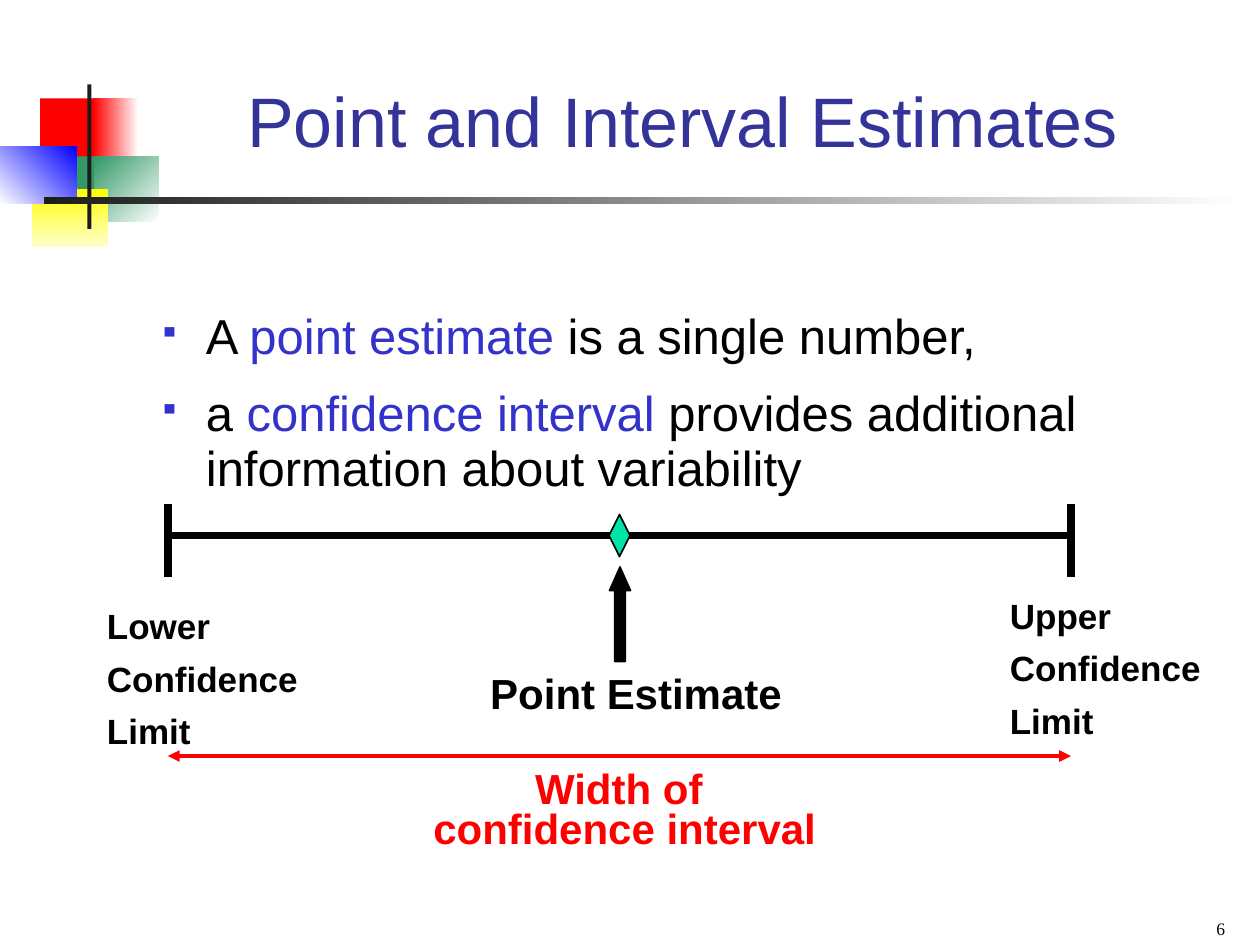
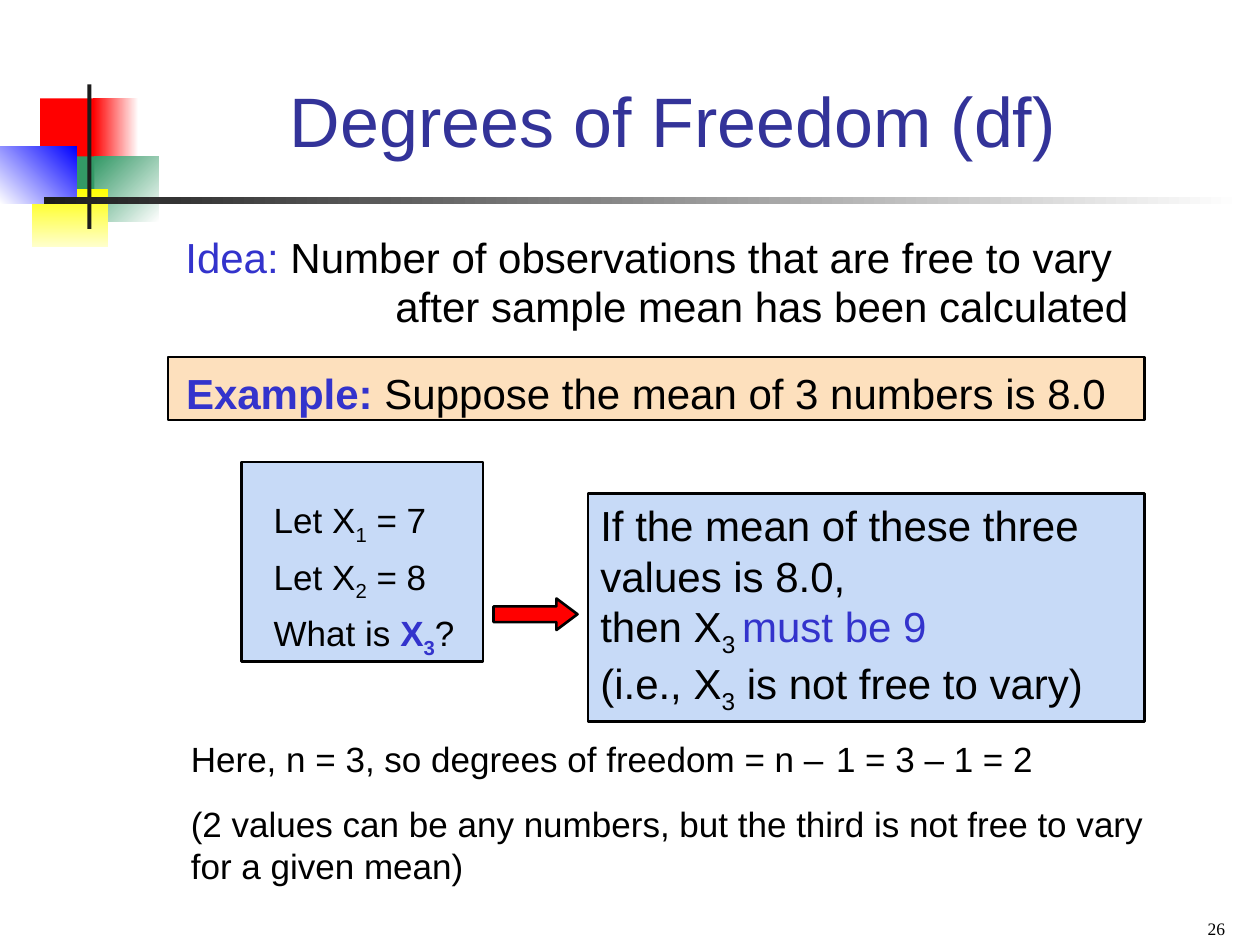
from dataclasses import dataclass

from lxml import etree
from pptx import Presentation
from pptx.dml.color import RGBColor
from pptx.enum.shapes import MSO_CONNECTOR, MSO_SHAPE
from pptx.enum.text import MSO_ANCHOR, PP_ALIGN
from pptx.oxml.ns import qn
from pptx.util import Pt

LEFT, CENTER, RIGHT = PP_ALIGN.LEFT, PP_ALIGN.CENTER, PP_ALIGN.RIGHT
TOP, BOTTOM = MSO_ANCHOR.TOP, MSO_ANCHOR.BOTTOM
RECTANGLE, DIAMOND = MSO_SHAPE.RECTANGLE, MSO_SHAPE.DIAMOND
UP_ARROW, RIGHT_ARROW = MSO_SHAPE.UP_ARROW, MSO_SHAPE.RIGHT_ARROW
STRAIGHT = MSO_CONNECTOR.STRAIGHT
TITLE_ONLY = 5


@dataclass(frozen=True)
class Theme:
    font: str = "Arial"
    number_font: str = "Times New Roman"
    title_size: int = 40
    lead_size: int = 28
    body_size: int = 24
    small_size: int = 20
    number_size: int = 10
    title: str = "333399"
    accent: str = "3333CC"
    ink: str = "000000"
    white: str = "FFFFFF"
    red: str = "FF0000"
    green: str = "339966"
    blue: str = "0000FF"
    yellow: str = "FFFF00"
    pale_yellow: str = "FFFFCC"
    charcoal: str = "1C1C1C"
    mint: str = "00E4A8"
    panel: str = "C7DAF7"
    band: str = "FDE0BD"


THEME = Theme()


@dataclass
class Span:
    text: str
    color: str = THEME.ink
    bold: bool = False
    subscript: bool = False
    size: int = 0


@dataclass
class Format:
    size: int = THEME.body_size
    align: PP_ALIGN = LEFT
    before: float = 0
    spacing: float = 1.0
    font: str = THEME.font
    bullet: bool = False


def accent(text, **style):
    return Span(text, THEME.accent, **style)


def subscript(text, **style):
    return Span(text, subscript=True, **style)


def add_bullet(paragraph):
    """Hang the paragraph from a small square in the accent colour."""
    properties = paragraph._p.get_or_add_pPr()
    properties.set("marL", str(Pt(27)))
    properties.set("indent", str(-Pt(27)))
    color = etree.SubElement(properties, qn("a:buClr"))
    etree.SubElement(color, qn("a:srgbClr"), val=THEME.accent)
    etree.SubElement(properties, qn("a:buSzPct"), val="60000")
    etree.SubElement(properties, qn("a:buChar"), char="▪")


class SlideBuilder:
    def __init__(self, deck, theme):
        self.deck = deck
        self.theme = theme
        self.slide = None

    def start(self, title, title_place, number):
        """Begin a slide with its ornament, title and number."""
        layout = self.deck.slide_layouts[TITLE_ONLY]
        self.slide = self.deck.slides.add_slide(layout)
        self.ornament()
        box = self.slide.shapes.title
        box.left, box.top, box.width, box.height = map(Pt, title_place)
        self.fill_text(box, [[Span(title, self.theme.title)]],
                       Format(self.theme.title_size, CENTER), BOTTOM, (6.5, 3.6, 6.5, 3.6))
        self.text((538.5, 515, 168, 25), [[Span(number)]],
                  Format(self.theme.number_size, RIGHT, font=self.theme.number_font),
                  BOTTOM, (6.5, 3.6, 6.5, 3.6))

    def ornament(self):
        theme = self.theme
        self.shape(RECTANGLE, (23, 56.2, 34.6, 37.4), theme.red)
        self.gradient((53.3, 56.2, 25.9, 37.4), theme.white, theme.red, 180)
        self.gradient((54, 89.3, 36.7, 37.4), theme.white, theme.green, 135)
        self.shape(RECTANGLE, (31, 89.3, 23, 37.4), theme.green)
        self.gradient((18, 108, 43.9, 33.1), theme.yellow, theme.pale_yellow, 270)
        self.gradient((0, 83.5, 43.9, 33.1), theme.blue, theme.white, 225)
        self.shape(RECTANGLE, (49.9, 48.2, 2.4, 82.6), theme.charcoal)
        self.gradient((25.2, 112.4, 684.7, 4.3), theme.white, theme.charcoal, 180)

    def shape(self, kind, place, fill, line_width=0, adjustments=()):
        shape = self.slide.shapes.add_shape(kind, *map(Pt, place))
        shape.shadow.inherit = False
        shape.fill.solid()
        shape.fill.fore_color.rgb = RGBColor.from_string(fill)
        if line_width:
            shape.line.color.rgb = RGBColor.from_string(self.theme.ink)
            shape.line.width = Pt(line_width)
        else:
            shape.line.fill.background()
        for index, value in enumerate(adjustments):
            shape.adjustments[index] = value
        return shape

    def gradient(self, place, start, end, angle):
        """Draw a two-colour rectangle; the angle runs anticlockwise."""
        shape = self.shape(RECTANGLE, place, start)
        shape.fill.gradient()
        shape.fill.gradient_angle = angle
        for stop, color in zip(shape.fill.gradient_stops, (start, end)):
            stop.color.rgb = RGBColor.from_string(color)

    def line(self, start, end, color, width, arrows=False):
        line = self.slide.shapes.add_connector(STRAIGHT, *map(Pt, start + end))
        line.line.color.rgb = RGBColor.from_string(color)
        line.line.width = Pt(width)
        properties = line._element.spPr
        if arrows:
            outline = properties.find(qn("a:ln"))
            for tip in ("a:headEnd", "a:tailEnd"):
                etree.SubElement(outline, qn(tip), type="triangle")
        etree.SubElement(properties, qn("a:effectLst"))

    def text(self, place, lines, style, anchor=TOP, insets=(7.2, 3.6, 7.2, 3.6)):
        box = self.slide.shapes.add_textbox(*map(Pt, place))
        return self.fill_text(box, lines, style, anchor, insets)

    def fill_text(self, box, lines, style, anchor=TOP, insets=(7.2, 3.6, 7.2, 3.6)):
        """Fill a shape with lines, each a list of spans."""
        frame = box.text_frame
        frame.word_wrap = True
        frame.vertical_anchor = anchor
        (frame.margin_left, frame.margin_top,
         frame.margin_right, frame.margin_bottom) = map(Pt, insets)
        for index, spans in enumerate(lines):
            paragraph = frame.add_paragraph() if index else frame.paragraphs[0]
            if style.bullet:
                add_bullet(paragraph)
            paragraph.alignment = style.align
            paragraph.line_spacing = style.spacing
            paragraph.space_before = Pt(style.before if index else 0)
            for span in spans:
                self.add_span(paragraph, span, style)
        return frame

    def add_span(self, paragraph, span, style):
        run = paragraph.add_run()
        run.text = span.text
        run.font.name = style.font
        run.font.size = Pt(span.size or style.size)
        run.font.bold = span.bold
        run.font.color.rgb = RGBColor.from_string(span.color)
        if span.subscript:
            run._r.get_or_add_rPr().set("baseline", "-25000")


def build_estimates(builder):
    theme = builder.theme
    builder.start("Point and Interval Estimates", (108, 18, 564, 77.8), "6")
    builder.text((84.2, 173.5, 606, 112), [
        [Span("A "), accent("point estimate"), Span(" is a single number,")],
        [Span("a "), accent("confidence interval"),
         Span(" provides additional information about variability")],
    ], Format(theme.lead_size, before=12.5, spacing=0.94, bullet=True),
        insets=(6.5, 3.6, 6.5, 3.6))

    lower, upper, axis = 96, 612, 306
    builder.line((lower, axis), (upper, axis), theme.ink, 4.5)
    for limit in (lower + 0.25, upper):
        builder.line((limit, 288), (limit, 330), theme.ink, 4.5)
    builder.shape(DIAMOND, (348, 294, 12, 24), theme.mint, 1)
    builder.shape(UP_ARROW, (348.3, 324, 12, 54), theme.ink, 1, (0.5, 1.123))

    builder.text((222.5, 378, 282, 36), [[Span("Point Estimate", bold=True)]],
                 Format(align=CENTER))
    for name, left, top in (("Lower", 54, 342), ("Upper", 570, 336)):
        builder.text((left, top, 135, 89),
                     [[Span(word, bold=True)] for word in (name, "Confidence", "Limit")],
                     Format(theme.small_size, before=6))

    builder.line((lower, 432), (upper, 432), theme.red, 2.25, arrows=True)
    builder.text((216, 432, 282, 54),
                 [[Span(line, theme.red, bold=True)]
                  for line in ("Width of ", "confidence interval")],
                 Format(align=CENTER, spacing=0.8),
                 insets=(7.2, 9.1, 7.2, 3.6))


def build_freedom(builder):
    theme = builder.theme
    builder.start("Degrees of Freedom (df)", (90.7, 18, 587.5, 77.8), "26")

    idea = builder.text((106, 128.9, 570, 60), [
        [accent("Idea:"), Span(" Number of observations that are free to vary")],
        [Span("after sample mean has been calculated")],
    ], Format(before=6), insets=(0, 3.6, 0, 3.6))
    continuation = idea.paragraphs[1]
    continuation.line_spacing = 0.75
    continuation._p.get_or_add_pPr().set("marL", str(Pt(120)))

    example = builder.shape(RECTANGLE, (96, 204, 558, 36), theme.band, 1.5)
    builder.fill_text(example, [[accent("Example: ", bold=True),
                                 Span("Suppose the mean of 3 numbers is 8.0")]],
                      Format(), BOTTOM, (10.3, 0, 0, 1))

    values = builder.shape(RECTANGLE, (138, 264, 138, 114), theme.panel, 1.5)
    builder.fill_text(values, [
        [Span("Let X"), subscript("1"), Span(" = 7")],
        [Span("Let X"), subscript("2"), Span(" = 8")],
        [Span("What is "), accent("X", bold=True),
         subscript("3", color=theme.accent, bold=True), Span("?")],
    ], Format(theme.small_size, before=5), insets=(18.4, 21, 0, 0))

    builder.shape(RIGHT_ARROW, (282, 342, 48, 18), theme.red, 1.5, (0.5, 0.667))

    result = builder.shape(RECTANGLE, (336, 282, 318, 130.3), theme.panel, 1.5)
    builder.fill_text(result, [
        [Span("If the mean of these three values is 8.0,")],
        [Span("then X"), subscript("3 "), accent("must be 9")],
        [Span("(i.e., X"), subscript("3"), Span(" is not free to vary)")],
    ], Format())

    builder.text((102, 414, 582, 96.5), [
        [Span("Here, n = 3, so degrees of freedom = n –"),
         Span(" ", size=theme.body_size), Span("1 = 3 – 1 = 2")],
        [Span("(2 values can be any numbers, but the third is not free to vary "
              "for a given mean)")],
    ], Format(theme.small_size, before=12.5))


def main():
    deck = Presentation()
    deck.slide_width, deck.slide_height = Pt(720), Pt(540)
    builder = SlideBuilder(deck, THEME)
    build_estimates(builder)
    build_freedom(builder)
    deck.save("out.pptx")


if __name__ == "__main__":
    main()
